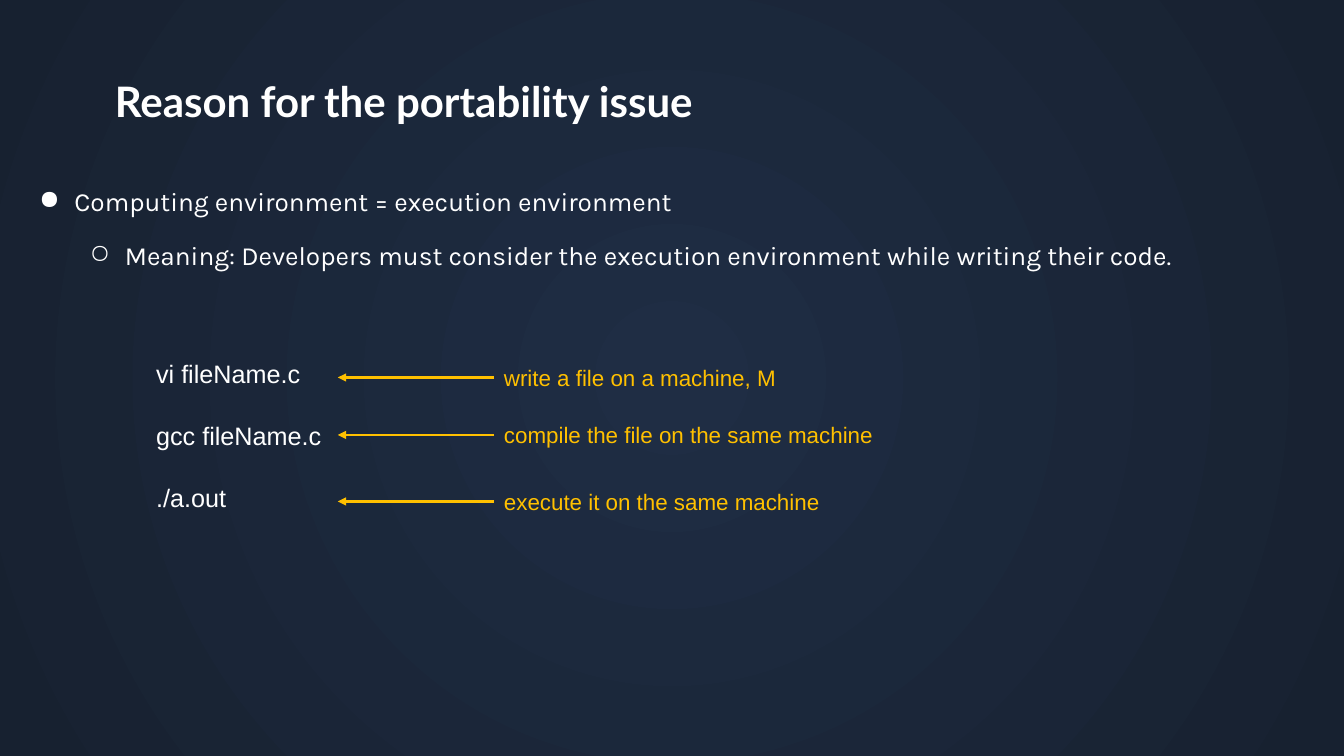
from lxml import etree
from pptx import Presentation
from pptx import util as u
from pptx.dml.color import RGBColor
from pptx.enum import shapes, text
from pptx.oxml import ns

WHITE = RGBColor(0xFF, 0xFF, 0xFF)
GOLD = RGBColor(0xFF, 0xC0, 0x00)
NAVY = RGBColor(0x1F, 0x2D, 0x44)
DARK = RGBColor(0x17, 0x21, 0x30)


def add(parent, tag, **attrs):
    return etree.SubElement(parent, ns.qn(tag), attrs)


class Page:
    """Holds the style and the current slide."""

    def __init__(self, slide):
        self.slide = slide

    def glow(self, inner, outer):
        """Radial background from the centre of the slide."""
        fill = self.slide.background.fill
        fill.gradient()
        for stop, color in zip(fill.gradient_stops, (inner, outer)):
            stop.color.rgb = color
        line = self.slide.element.find(".//" + ns.qn("a:lin"))
        grad = line.getparent()
        grad.remove(line)
        ring = add(grad, "a:path", path="circle")
        add(ring, "a:fillToRect", l="50000", t="50000", r="50000", b="50000")

    def text(self, box, lines, size, font="Arial", color=WHITE,
             bold=False, gap=0, pad=0.05, wrap=False):
        shape = self.slide.shapes.add_textbox(*map(u.Inches, box))
        frame = shape.text_frame
        frame.word_wrap = wrap
        frame.vertical_anchor = text.MSO_ANCHOR.TOP
        frame.margin_top = frame.margin_bottom = u.Inches(pad)
        frame.text = "\n".join(lines)
        for row, para in enumerate(frame.paragraphs):
            para.font.size = u.Pt(size)
            para.font.name = font
            para.font.color.rgb = color
            para.font.bold = bold
            para.space_before = u.Pt(gap if row else 0)
        return shape

    def bullets(self, box, lines, marks, size, font, gap):
        """Each line sits one level deeper than the line before."""
        shape = self.text(box, lines, size, font, gap=gap, pad=0.1, wrap=True)
        for level, para in enumerate(shape.text_frame.paragraphs):
            para.level = level
            props = para._p.get_or_add_pPr()
            props.set("marL", str(u.Inches(0.5 * (level + 1))))
            props.set("indent", str(u.Inches(-0.35)))
            tint = add(props, "a:buClr")
            add(tint, "a:srgbClr", val=str(WHITE))
            add(props, "a:buChar", char=marks[level])
            # Bullet details come before the default run properties
            props.append(props.find(ns.qn("a:defRPr")))

    def arrow(self, label, end):
        """Arrow from the left side of a label to the given x."""
        mid = label.top + label.height // 2
        line = self.slide.shapes.add_connector(
            shapes.MSO_CONNECTOR.STRAIGHT, label.left, mid, u.Inches(end), mid)
        line.begin_connect(label, 1)
        line.line.color.rgb = GOLD
        line.line.width = u.Pt(2)
        add(line.line._get_or_add_ln(), "a:tailEnd", type="triangle")
        add(line._element.spPr, "a:effectLst")


def main():
    deck = Presentation()
    deck.slide_width = u.Inches(13.33)
    deck.slide_height = u.Inches(7.5)
    page = Page(deck.slides.add_slide(deck.slide_layouts[6]))
    page.glow(NAVY, DARK)

    # Title and main points
    page.text((1.04, 0.65, 11.25, 0.84), ["Reason for the portability issue"],
              30, "Lato", bold=True, pad=0.1, wrap=True)
    page.bullets(
        (0.14, 1.74, 13, 4.98),
        ["Computing environment = execution environment",
         "Meaning: Developers must consider the execution environment "
         "while writing their code."],
        "●○", 18.7, "Karla", 16)

    # Commands
    page.text((1.45, 3.51, 1.86, 1.62),
              ["vi fileName.c", "gcc fileName.c", "./a.out"], 18, gap=22.5)

    # What each command does
    notes = [
        (3.56, 2.93, "write a file on a machine, M"),
        (4.13, 3.91, "compile the file on the same machine"),
        (4.79, 3.37, "execute it on the same machine"),
    ]
    for top, width, words in notes:
        label = page.text((4.9, top, width, 0.37), [words], 16, color=GOLD)
        page.arrow(label, 3.35)

    deck.save("out.pptx")


if __name__ == "__main__":
    main()
